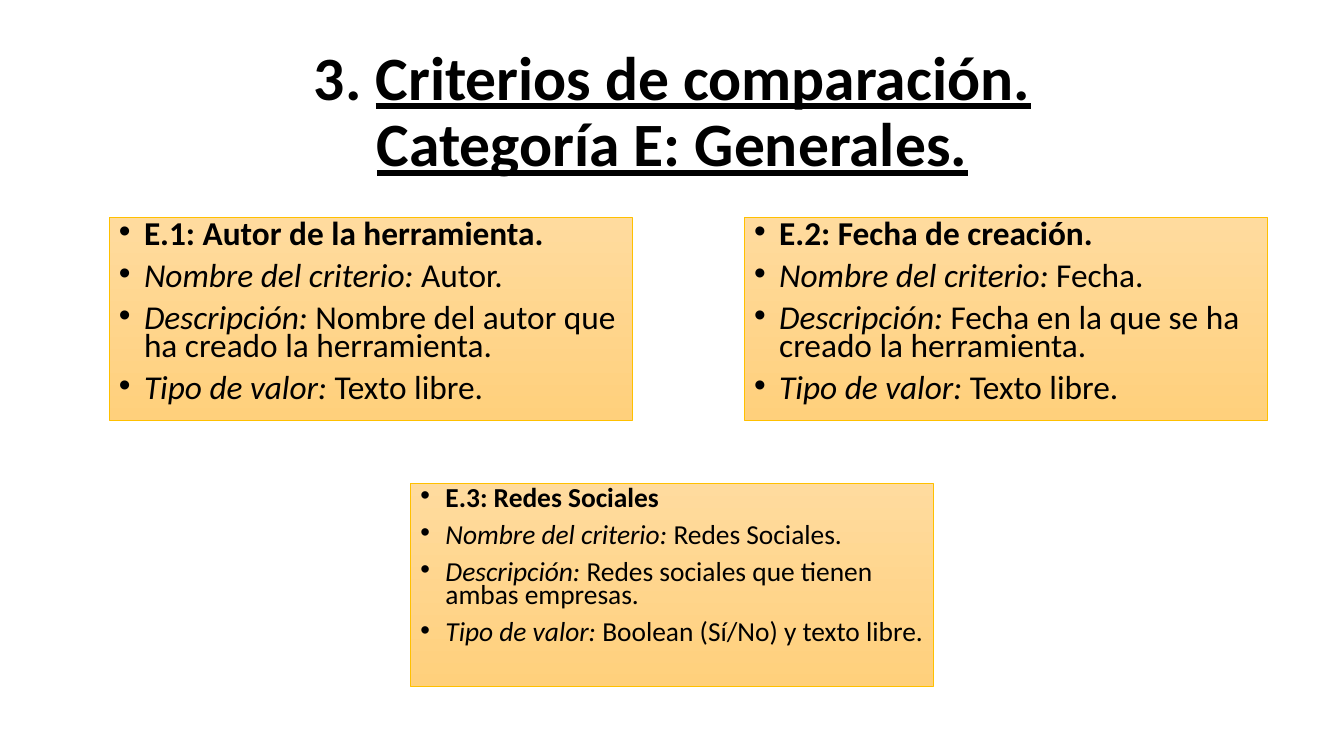
from lxml import etree
from pptx import Presentation
from pptx.dml.color import RGBColor
from pptx.enum.shapes import MSO_SHAPE
from pptx.enum.text import MSO_ANCHOR, PP_ALIGN
from pptx.oxml.ns import qn
from pptx.util import Inches, Pt

RECTANGLE = MSO_SHAPE.RECTANGLE
TOP, MIDDLE = MSO_ANCHOR.TOP, MSO_ANCHOR.MIDDLE
LEFT, CENTER = PP_ALIGN.LEFT, PP_ALIGN.CENTER

COLORS = {"text": "000000", "border": "FFC000",
          "gradient_top": "FFDB9E", "gradient_bottom": "FFD07C"}
FONT = "Calibri"
WIDTH, HEIGHT = 13.33, 7.5
CARD_WIDTH, CARD_HEIGHT = 5.19, 2.01
LEFT_X, RIGHT_X = 1.08, 7.38
CENTER_X = (WIDTH - CARD_WIDTH) / 2
UPPER_Y, LOWER_Y = 2.16, 4.8
LABELS = ("Nombre del criterio: ", "Descripción: ", "Tipo de valor: ")


def color(name):
    return RGBColor.from_string(COLORS[name])


class CriteriaSlide:
    """Holds the style and the current slide; positions are shares of its size."""

    def __init__(self, presentation):
        self.width = presentation.slide_width
        self.height = presentation.slide_height
        self.slide = presentation.slides.add_slide(presentation.slide_layouts[6])

    def box(self, x, y, width, height):
        return (round(x * self.width), round(y * self.height),
                round(width * self.width), round(height * self.height))

    def add_run(self, paragraph, text, size, bold=False, italic=False, underline=False):
        run = paragraph.add_run()
        run.text = text
        font = run.font
        font.name, font.size = FONT, Pt(size)
        font.bold, font.italic, font.underline = bold, italic, underline
        font.color.rgb = color("text")

    def add_bullet(self, paragraph):
        paragraph.alignment = LEFT
        paragraph.line_spacing = 0.7
        paragraph.space_before = Pt(10)
        properties = paragraph._p.get_or_add_pPr()
        properties.set("marL", str(Inches(0.25)))
        properties.set("indent", str(-Inches(0.25)))
        font = etree.SubElement(properties, qn("a:buFont"))
        font.set("typeface", "Arial")
        bullet = etree.SubElement(properties, qn("a:buChar"))
        bullet.set("char", "•")

    def title(self, number, lines, x, y, width, height):
        shape = self.slide.shapes.add_textbox(*self.box(x, y, width, height))
        frame = shape.text_frame
        frame.word_wrap = True
        frame.vertical_anchor = MIDDLE
        paragraph = frame.paragraphs[0]
        paragraph.alignment = CENTER
        paragraph.line_spacing = 0.9
        self.add_run(paragraph, number, 44, bold=True)
        for index, line in enumerate(lines):
            if index:
                paragraph.add_line_break()
            self.add_run(paragraph, line, 44, bold=True, underline=True)

    def card(self, heading, values, x, y, size):
        shape = self.slide.shapes.add_shape(RECTANGLE, *self.box(
            x, y, CARD_WIDTH / WIDTH, CARD_HEIGHT / HEIGHT))
        shape.shadow.inherit = False
        shape.fill.gradient()
        shape.fill.gradient_angle = 270
        for stop, name in zip(shape.fill.gradient_stops, ("gradient_top", "gradient_bottom")):
            stop.color.rgb = color(name)
        shape.line.color.rgb = color("border")
        shape.line.width = Pt(0.5)

        frame = shape.text_frame
        frame.word_wrap = True
        frame.vertical_anchor = TOP
        paragraph = frame.paragraphs[0]
        self.add_bullet(paragraph)
        self.add_run(paragraph, heading, size, bold=True)
        for label, value in zip(LABELS, values):
            paragraph = frame.add_paragraph()
            self.add_bullet(paragraph)
            self.add_run(paragraph, label, size, italic=True)
            self.add_run(paragraph, value, size)


def main():
    presentation = Presentation()
    presentation.slide_width = Inches(WIDTH)
    presentation.slide_height = Inches(HEIGHT)
    page = CriteriaSlide(presentation)

    # Title
    page.title("3. ", ("Criterios de comparación.", "Categoría E: Generales."),
               0.92 / WIDTH, 0.4 / HEIGHT, 11.5 / WIDTH, 1.45 / HEIGHT)

    # Criteria cards
    cards = (
        ("E.3: Redes Sociales",
         ("Redes Sociales.", "Redes sociales que tienen ambas empresas.",
          "Boolean (Sí/No) y texto libre."), CENTER_X, LOWER_Y, 19.6),
        ("E.2: Fecha de creación.",
         ("Fecha.", "Fecha en la que se ha creado la herramienta.",
          "Texto libre."), RIGHT_X, UPPER_Y, 23.8),
        ("E.1: Autor de la herramienta.",
         ("Autor.", "Nombre del autor que ha creado la herramienta.",
          "Texto libre."), LEFT_X, UPPER_Y, 23.8),
    )
    for heading, values, x, y, size in cards:
        page.card(heading, values, x / WIDTH, y / HEIGHT, size)

    presentation.save("out.pptx")


if __name__ == "__main__":
    main()
